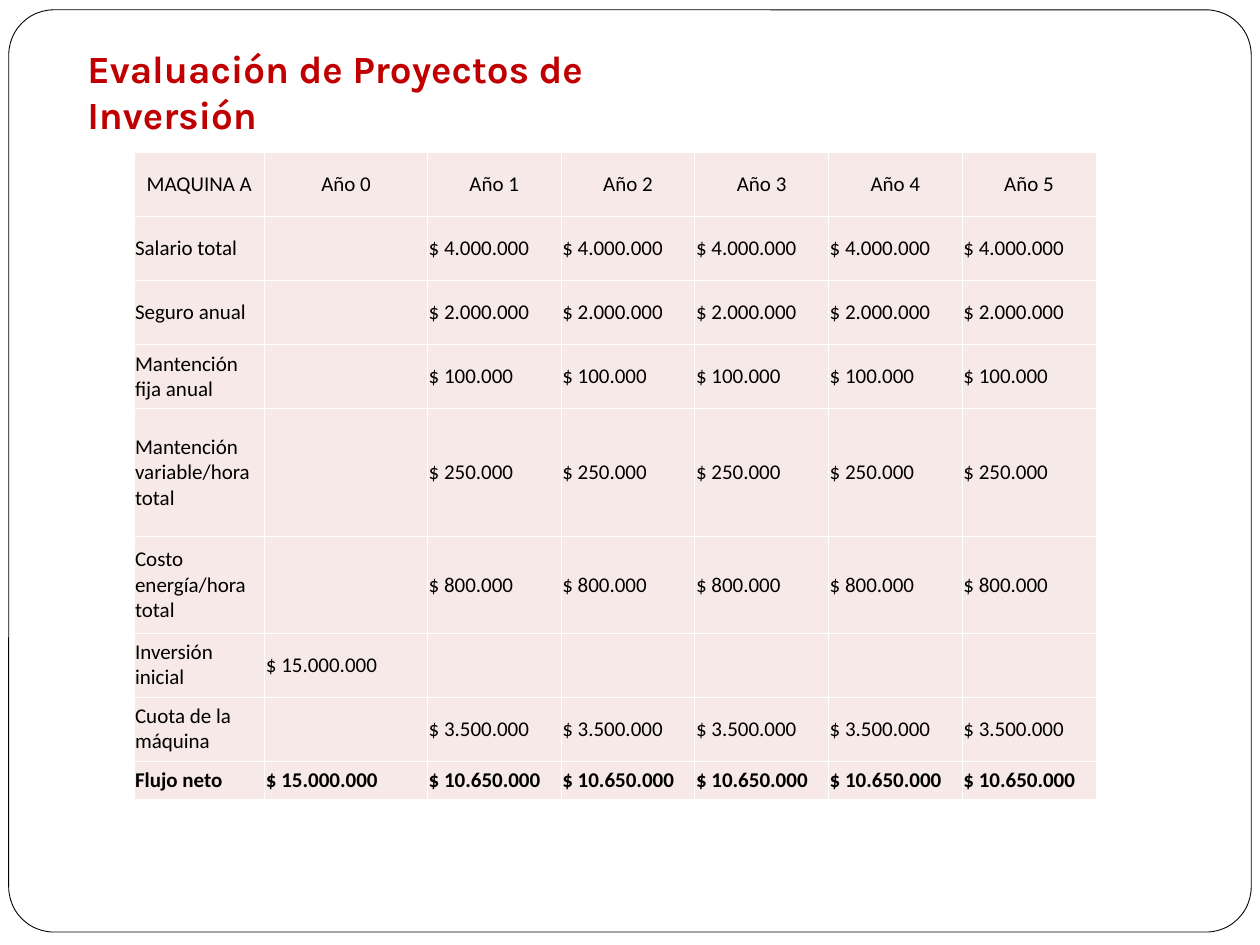
from dataclasses import dataclass

from lxml.etree import SubElement
from pptx import Presentation
from pptx.dml.color import RGBColor
from pptx.enum.shapes import MSO_SHAPE as Preset
from pptx.enum.text import MSO_ANCHOR as Anchor, MSO_AUTO_SIZE as AutoSize, PP_ALIGN as Align
from pptx.oxml.ns import qn
from pptx.slide import Slide
from pptx.table import _Cell as Cell
from pptx.util import Pt


@dataclass(frozen=True)
class Theme:
    title_font: str = "Karla"
    body_font: str = "Calibri"
    title_size: float = 22
    body_size: float = 12
    frame_line: float = 0.5
    cell_line: float = 0.45
    red: RGBColor = RGBColor(0xC0, 0x00, 0x00)
    black: RGBColor = RGBColor(0x00, 0x00, 0x00)
    white: RGBColor = RGBColor(0xFF, 0xFF, 0xFF)
    pink: RGBColor = RGBColor(0xF7, 0xE9, 0xE7)


@dataclass(frozen=True)
class CashFlow:
    label: str
    initial: str = ""
    yearly: str = ""
    height: float = 1  # in units of ROW_HEIGHT
    label_align: Align = Align.LEFT
    bold: bool = False


THEME = Theme()
YEARS = 5
ROW_HEIGHT = 36.6
COLUMN_WIDTHS = [74.8, 93] + [76.4] * YEARS
CASH_FLOWS = [
    CashFlow("Salario total", yearly="$ 4.000.000"),
    CashFlow("Seguro anual", yearly="$ 2.000.000"),
    CashFlow("Mantención fija anual", yearly="$ 100.000"),
    CashFlow("Mantención variable/hora total", yearly="$ 250.000", height=2),
    CashFlow("Costo energía/hora total", yearly="$ 800.000", height=1.5),
    CashFlow("Inversión inicial", initial="$ 15.000.000", label_align=Align.JUSTIFY),
    CashFlow("Cuota de la máquina", yearly="$ 3.500.000"),
    CashFlow("Flujo neto", "$ 15.000.000", "$ 10.650.000", height=0.5, bold=True),
]


def add_frame(slide: Slide) -> None:
    frame = slide.shapes.add_shape(Preset.ROUNDED_RECTANGLE, Pt(5), Pt(5.6), Pt(710), Pt(527))
    frame.adjustments[0] = 0.049
    frame.shadow.inherit = False
    frame.fill.solid()
    frame.fill.fore_color.rgb = THEME.white
    frame.line.color.rgb = THEME.black
    frame.line.width = Pt(THEME.frame_line)
    slide.shapes._spTree.insert(2, frame._element)  # behind the title


def fill_title(slide: Slide, text: str) -> None:
    title = slide.shapes.title
    title.left, title.top, title.width, title.height = Pt(42.7), Pt(49), Pt(368.6), Pt(36.7)
    text_frame = title.text_frame
    text_frame.text = text
    text_frame.word_wrap = True
    text_frame.auto_size = AutoSize.NONE
    text_frame.vertical_anchor = Anchor.BOTTOM
    text_frame.margin_left = text_frame.margin_right = text_frame.margin_bottom = Pt(7.2)
    text_frame.margin_top = Pt(3.6)
    paragraph = text_frame.paragraphs[0]
    paragraph.alignment = Align.LEFT
    font = paragraph.runs[0].font
    font.name, font.size, font.bold = THEME.title_font, Pt(THEME.title_size), True
    font.color.rgb = THEME.red


def add_borders(cell: Cell) -> None:
    """Draw all four sides; must run before the fill is set, as lines come first."""
    properties = cell._tc.get_or_add_tcPr()
    for side in ("a:lnL", "a:lnR", "a:lnT", "a:lnB"):
        line = SubElement(properties, qn(side), w=str(Pt(THEME.cell_line)))
        solid = SubElement(line, qn("a:solidFill"))
        SubElement(solid, qn("a:srgbClr"), val=str(THEME.white))


def fill_cell(cell: Cell, text: str, align: Align, bold: bool) -> None:
    add_borders(cell)
    cell.fill.solid()
    cell.fill.fore_color.rgb = THEME.pink
    cell.margin_left = cell.margin_right = Pt(0.7)
    cell.margin_top = cell.margin_bottom = Pt(3.6)
    cell.vertical_anchor = Anchor.MIDDLE
    cell.text_frame.text = text
    paragraph = cell.text_frame.paragraphs[0]
    paragraph.alignment = align
    for run in paragraph.runs:
        run.font.name, run.font.size, run.font.bold = THEME.body_font, Pt(THEME.body_size), bold
        run.font.color.rgb = THEME.black


def add_cash_flow_table(slide: Slide) -> None:
    heights = [ROW_HEIGHT] + [flow.height * ROW_HEIGHT for flow in CASH_FLOWS]
    table = slide.shapes.add_table(
        len(heights), len(COLUMN_WIDTHS), Pt(76.5), Pt(87.2),
        Pt(sum(COLUMN_WIDTHS)), Pt(sum(heights)),
    ).table
    for column, width in zip(table.columns, COLUMN_WIDTHS):
        column.width = Pt(width)
    for row, height in zip(table.rows, heights):
        row.height = Pt(height)

    headings = ["MAQUINA A"] + [f"Año {year}" for year in range(YEARS + 1)]
    for cell, heading in zip(table.rows[0].cells, headings):
        fill_cell(cell, heading, Align.CENTER, False)
    for row_index, flow in enumerate(CASH_FLOWS, start=1):
        texts = [flow.label, flow.initial] + [flow.yearly] * YEARS
        for column_index, text in enumerate(texts):
            align = Align.JUSTIFY if column_index else flow.label_align
            fill_cell(table.cell(row_index, column_index), text, align, flow.bold)


def main() -> None:
    presentation = Presentation()
    presentation.slide_width, presentation.slide_height = Pt(720), Pt(540)
    slide = presentation.slides.add_slide(presentation.slide_layouts.get_by_name("Title Only"))
    add_frame(slide)
    fill_title(slide, "Evaluación de Proyectos de Inversión")
    add_cash_flow_table(slide)
    presentation.save("out.pptx")


if __name__ == "__main__":
    main()
